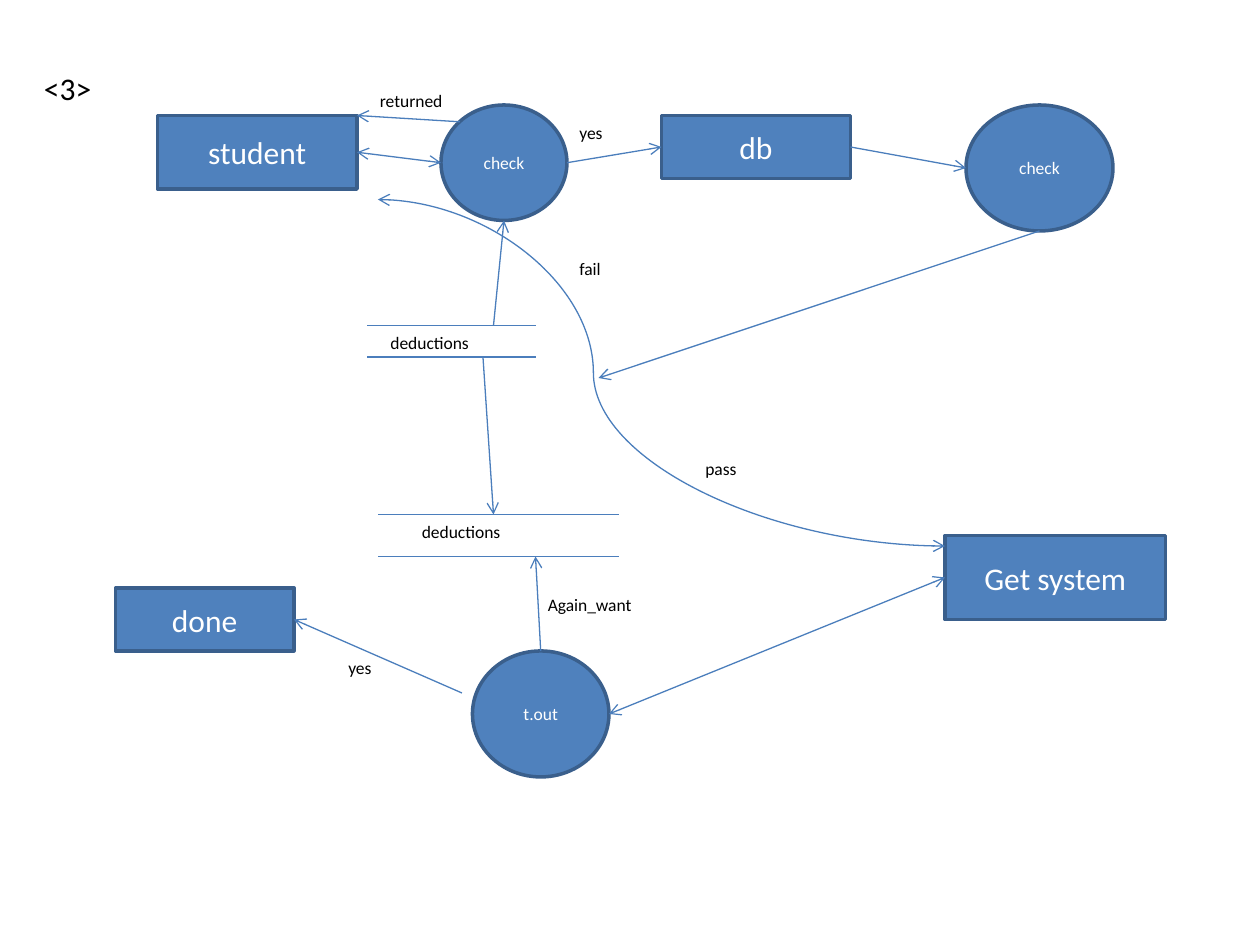
from lxml.etree import SubElement
from pptx import Presentation
from pptx.dml.color import RGBColor
from pptx.enum.shapes import MSO_CONNECTOR as Link, MSO_SHAPE as Shape
from pptx.enum.text import MSO_ANCHOR as Anchor, MSO_AUTO_SIZE as AutoSize, PP_ALIGN as Align
from pptx.oxml.ns import qn
from pptx.util import Cm, Pt


def color(value):
    """Turn a hex string into a colour."""
    return RGBColor.from_string(value)


def grid(units):
    """Turn grid units, twelve to 2.54 cm, into a length."""
    return Cm(units * 2.54 / 12)


class FlowSlide:
    """Holds the diagram style and the current slide."""

    font = "Calibri"
    fill = "4F81BD"
    outline = "3A5F8C"
    link = "4B7EBC"
    large, small = 18, 10

    def __init__(self, deck):
        """Add a blank slide to the deck."""
        self.slide = deck.slides.add_slide(deck.slide_layouts[6])

    def set_text(self, frame, text, size, ink):
        """Set the text of a frame and format its run."""
        frame.text = text
        frame.word_wrap = True
        span = frame.paragraphs[0].runs[0]
        span.font.name = self.font
        span.font.size = Pt(size)
        span.font.color.rgb = color(ink)

    def node(self, kind, text, size, *place):
        """Draw a filled shape with centred text."""
        shape = self.slide.shapes.add_shape(kind, *map(grid, place))
        shape.shadow.inherit = False
        shape.fill.solid()
        shape.fill.fore_color.rgb = color(self.fill)
        shape.line.color.rgb = color(self.outline)
        shape.line.width = Pt(2)
        self.set_text(shape.text_frame, text, size, "FFFFFF")
        shape.text_frame.vertical_anchor = Anchor.MIDDLE
        shape.text_frame.paragraphs[0].alignment = Align.CENTER

    def process(self, text, *place):
        """Draw a process box."""
        self.node(Shape.FLOWCHART_PROCESS, text, self.large, *place)

    def circle(self, text, *place):
        """Draw a round step."""
        self.node(Shape.OVAL, text, self.small, *place)

    def label(self, text, left, top, width, height=3.2, size=small):
        """Add plain text."""
        box = self.slide.shapes.add_textbox(*map(grid, (left, top, width, height)))
        self.set_text(box.text_frame, text, size, "000000")
        box.text_frame.auto_size = AutoSize.SHAPE_TO_FIT_TEXT

    def line(self, *ends, arrows=(), kind=Link.STRAIGHT):
        """Draw a connector; arrows names its pointed ends."""
        connector = self.slide.shapes.add_connector(kind, *map(grid, ends))
        connector.line.color.rgb = color(self.link)
        connector.line.width = Pt(0.75)
        properties = connector._element.spPr
        SubElement(properties, qn("a:effectLst"))
        for end in arrows:
            SubElement(properties.find(qn("a:ln")), qn(f"a:{end}"), type="arrow")
        return connector

    def curve(self, *ends, arrows, bend):
        """Draw a curved connector that turns at the share bend of its width."""
        connector = self.line(*ends, arrows=arrows, kind=Link.CURVE)
        geometry = connector._element.spPr.find(qn("a:prstGeom"))
        guides = geometry.find(qn("a:avLst"))
        if guides is None:
            guides = SubElement(geometry, qn("a:avLst"))
        SubElement(guides, qn("a:gd"), name="adj1", fmla=f"val {round(bend * 100000)}")

    def store(self, text, left, top, width, height, label_left, label_width):
        """Draw a data store: two rules around a label."""
        for level in (top, top + height):
            self.line(left, level, left + width, level)
        self.label(text, label_left, top, label_width)


deck = Presentation()
deck.slide_width, deck.slide_height = Cm(25.4), Cm(19.05)
flow = FlowSlide(deck)
one_way, two_way = ("tailEnd",), ("headEnd", "tailEnd")

flow.label("<3>", 3, 6, 9, 5, size=flow.large)

for process in (
    ("student", 15, 11, 19, 7),
    ("db", 63, 11, 18, 6),
    ("Get system", 90, 51, 21, 8),
    ("done", 11, 56, 17, 6),
):
    flow.process(*process)

for circle in (
    ("check", 42, 10, 12, 11),
    ("check", 92, 10, 14, 12),
    ("t.out", 45, 62, 13, 12),
):
    flow.circle(*circle)

for ends in ((34, 14.5, 42, 15.5), (58, 68, 90, 55)):
    flow.line(*ends, arrows=two_way)
flow.curve(36, 19, 90, 52, arrows=two_way, bend=0.38)

for ends in (
    (43.8, 11.6, 34, 11),
    (99, 22, 57, 36),
    (54, 15.5, 63, 14),
    (81, 14, 92, 16),
    (44, 66, 28, 59),
    (51.5, 62, 51, 53),
    (46, 34, 47, 49),
    (47, 31, 48, 21),
):
    flow.line(*ends, arrows=one_way)

flow.store("deductions", 36, 49, 23, 4, 39, 18)
flow.store("deductions", 35, 31, 16, 3, 36, 14)

for label in (
    ("yes", 54, 11, 11),
    ("pass", 66, 43, 11),
    ("yes", 32, 62, 11),
    ("Again_want", 51, 56, 12),
    ("fail", 54, 24, 10),
    ("returned", 35, 8, 10),
):
    flow.label(*label)

deck.save("out.pptx")
